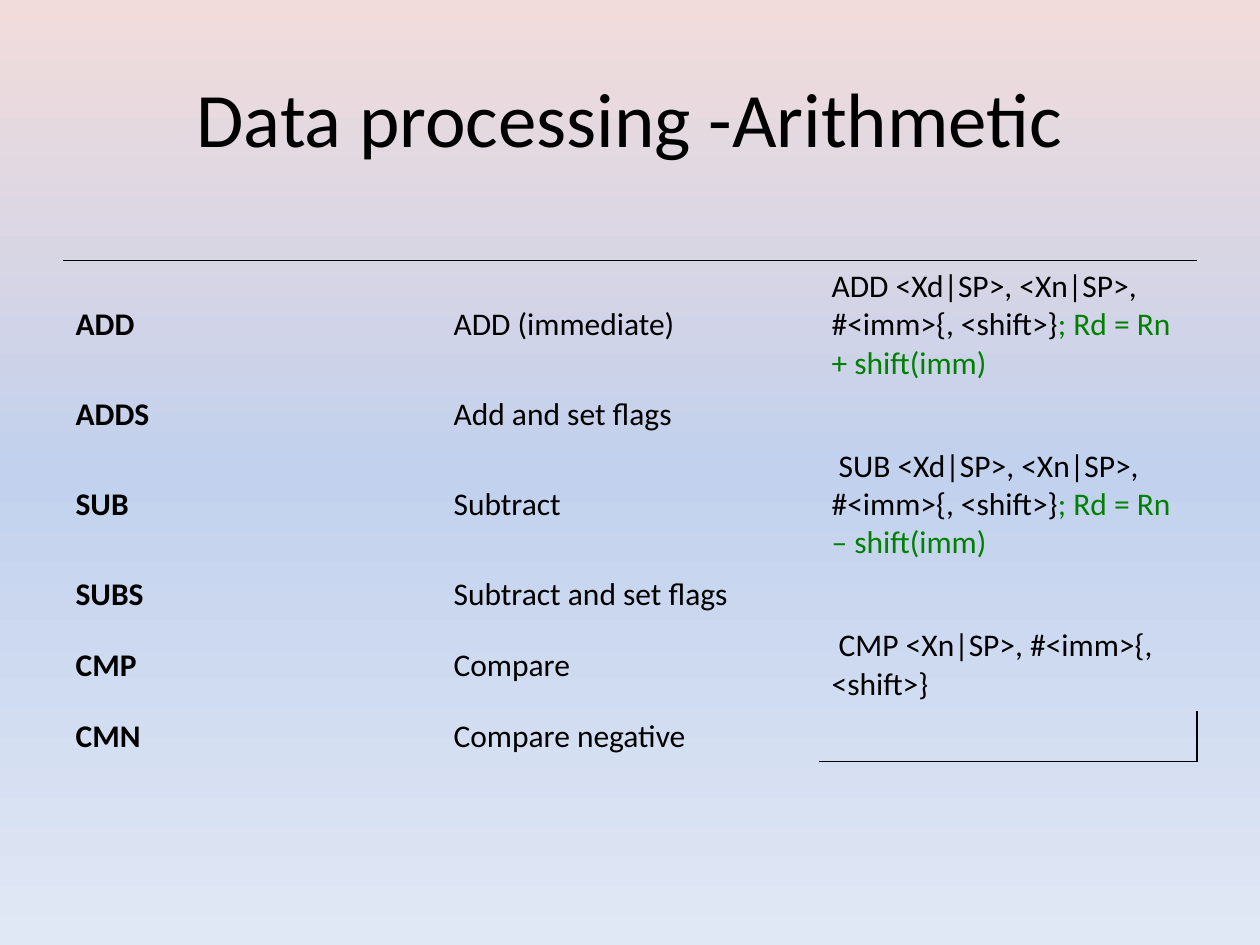
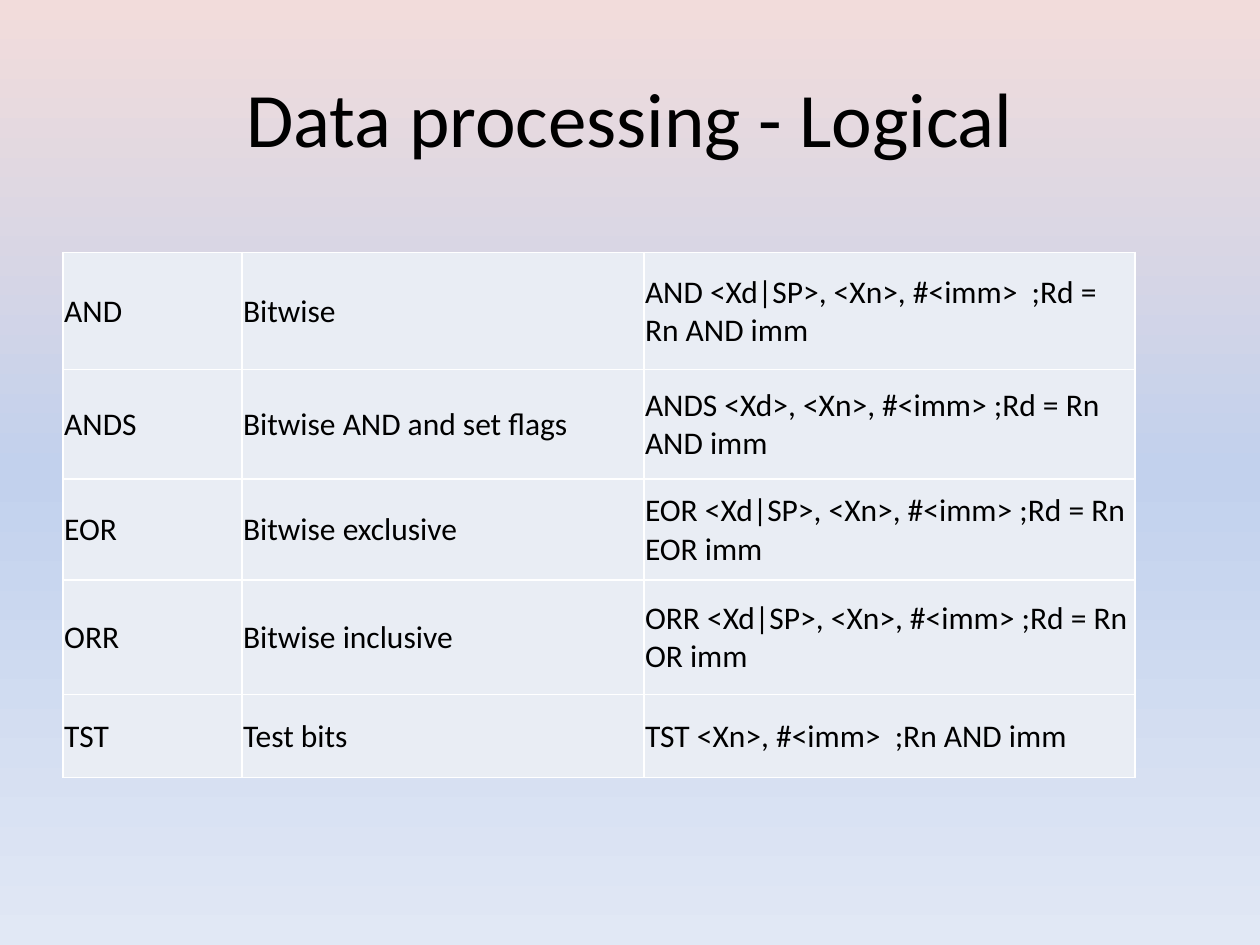
from copy import deepcopy
from dataclasses import dataclass

from lxml import etree
from pptx import Presentation
from pptx import util as u
from pptx.dml.color import RGBColor
from pptx.enum import text
from pptx.oxml.ns import qn

BLACK = RGBColor(0x00, 0x00, 0x00)
WHITE = RGBColor(0xFF, 0xFF, 0xFF)
GREEN = RGBColor(0x00, 0x80, 0x00)
CELL_FILL = RGBColor(0xE9, 0xED, 0xF4)
BACKDROP = (RGBColor(0xF2, 0xDC, 0xDB), RGBColor(0xC2, 0xD1, 0xED),
            RGBColor(0xE1, 0xE8, 0xF5))
FONT = "Calibri"
NO_STYLE = "{2D5ABB26-0587-4C30-8999-92F81FD0307C}"
NBSP = "\u00a0"

SLIDE_W, SLIDE_H = u.Inches(10), u.Inches(7.5)


@dataclass
class Box:
    """A frame given in shares of the slide's width and height."""
    left: float
    top: float
    width: float
    height: float

    def emu(self) -> tuple[int, int, int, int]:
        """Return left, top, width and height in EMU."""
        return (int(self.left * SLIDE_W), int(self.top * SLIDE_H),
                int(self.width * SLIDE_W), int(self.height * SLIDE_H))


@dataclass
class Grid:
    """An instruction table; columns and rows are relative weights."""
    box: Box
    columns: tuple[float, ...]
    rows: tuple[float, ...]
    cells: list[tuple[str, str, str, str]]  # mnemonic, meaning, syntax, comment
    comment_color: RGBColor = BLACK
    bold_mnemonic: bool = False
    fill: RGBColor | None = None
    margins: tuple[float, float, float, float] = (0.1, 0.1, 0.05, 0.05)


TITLE_BOX = Box(0.05, 0.04, 0.9, 1 / 6)

ARITHMETIC = Grid(
    box=Box(0.05, 0.276, 0.9, 0.528),
    columns=(1, 1, 1),
    rows=(1.02, 0.4, 1.02, 0.4, 0.72, 0.4),
    cells=[
        ("ADD", "ADD (immediate)", "ADD <Xd|SP>, <Xn|SP>, #<imm>{, <shift>}",
         "; Rd = Rn + shift(imm)"),
        ("ADDS", "Add and set flags", "", ""),
        ("SUB", "Subtract", f"{NBSP}SUB <Xd|SP>, <Xn|SP>, #<imm>{{, <shift>}}",
         f";{NBSP}Rd = Rn \u2013 shift(imm)"),
        ("SUBS", "Subtract and set flags", "", ""),
        ("CMP", "Compare", f"{NBSP}CMP <Xn|SP>, #<imm>{{, <shift>}}", ""),
        ("CMN", "Compare negative", "", ""),
    ],
    comment_color=GREEN,
    bold_mnemonic=True,
)

LOGICAL = Grid(
    box=Box(0.05, 0.267, 0.851, 0.556),
    columns=(1.42, 3.19, 3.9),
    rows=(0.93, 0.87, 0.8, 0.91, 0.66),
    cells=[
        ("AND", "Bitwise",
         f"AND <Xd|SP>, <Xn>, #<imm>{NBSP * 2};Rd = Rn AND imm", ""),
        ("ANDS", "Bitwise AND and set flags",
         f"ANDS <Xd>, <Xn>, #<imm>{NBSP};Rd = Rn AND imm", ""),
        ("EOR", "Bitwise exclusive",
         f"EOR <Xd|SP>, <Xn>, #<imm>{NBSP};Rd = Rn EOR imm", ""),
        ("ORR", "Bitwise inclusive",
         f"ORR <Xd|SP>, <Xn>, #<imm>{NBSP};Rd = Rn OR imm", ""),
        ("TST", "Test bits", f"TST <Xn>, #<imm>{NBSP * 2};Rn AND imm", ""),
    ],
    fill=CELL_FILL,
    margins=(0.01, 0.01, 0.01, 0),
)


def paint_backdrop(master) -> None:
    """Give the master a three-stop gradient that runs downwards."""
    fill = master.background.fill
    fill.gradient()
    fill.gradient_angle = 270
    stop_list = master.element.find(".//" + qn("a:gsLst"))
    stop_list.append(deepcopy(stop_list[-1]))
    for stop, color, position in zip(fill.gradient_stops, BACKDROP, (0, 0.5, 1)):
        stop.color.rgb = color
        stop.position = position


def add_run(p, words: str, size: float, color: RGBColor = BLACK,
            bold: bool = False) -> None:
    """Append one formatted run to a paragraph."""
    r = p.add_run()
    r.text = words
    r.font.name, r.font.size, r.font.bold = FONT, u.Pt(size), bold
    r.font.color.rgb = color


def add_titled_slide(prs, title: str):
    """Add a slide whose title placeholder holds the given words."""
    s = prs.slides.add_slide(prs.slide_layouts.get_by_name("Title Only"))
    sp = s.shapes.title
    sp.left, sp.top, sp.width, sp.height = TITLE_BOX.emu()
    tf = sp.text_frame
    tf.vertical_anchor = text.MSO_ANCHOR.MIDDLE
    p = tf.paragraphs[0]
    p.alignment = text.PP_ALIGN.CENTER
    add_run(p, title, 44)
    return s


def add_borders(cell, sides: str, color: RGBColor, points: float = 1) -> None:
    """Draw the named cell sides, listed in the order L, R, T, B."""
    properties = cell._tc.get_or_add_tcPr()
    for position, side in enumerate(sides):
        line = etree.Element(qn(f"a:ln{side}"), w=str(u.Pt(points)))
        solid = etree.SubElement(line, qn("a:solidFill"))
        etree.SubElement(solid, qn("a:srgbClr"), val=str(color))
        properties.insert(position, line)


def fill_cell(cell, grid: Grid, runs: list[tuple[str, RGBColor, bool]]) -> None:
    """Set a cell's fill, margins and runs."""
    if grid.fill is None:
        cell.fill.background()
    else:
        cell.fill.solid()
        cell.fill.fore_color.rgb = grid.fill
    cell.vertical_anchor = text.MSO_ANCHOR.MIDDLE
    (cell.margin_left, cell.margin_right, cell.margin_top,
     cell.margin_bottom) = map(u.Inches, grid.margins)
    for words, color, bold in runs:
        if words:
            add_run(cell.text_frame.paragraphs[0], words, 18, color, bold)


def add_grid(s, grid: Grid):
    """Add an instruction table and return it."""
    left, top, width, height = grid.box.emu()
    frame = s.shapes.add_table(len(grid.rows), len(grid.columns),
                               left, top, width, height)
    table = frame.table
    table.first_row = table.horz_banding = False
    frame._element.find(".//" + qn("a:tableStyleId")).text = NO_STYLE
    for column, weight in zip(table.columns, grid.columns):
        column.width = int(width * weight / sum(grid.columns))
    for row, weight in zip(table.rows, grid.rows):
        row.height = int(height * weight / sum(grid.rows))
    for row, (mnemonic, meaning, syntax, comment) in zip(table.rows, grid.cells):
        contents = (
            [(mnemonic, BLACK, grid.bold_mnemonic)],
            [(meaning, BLACK, False)],
            [(syntax, BLACK, False), (comment, grid.comment_color, False)],
        )
        for cell, runs in zip(row.cells, contents):
            fill_cell(cell, grid, runs)
    return table


def build_arithmetic(prs) -> None:
    """Arithmetic instructions, ruled above and around the last corner."""
    s = add_titled_slide(prs, "Data processing -Arithmetic")
    table = add_grid(s, ARITHMETIC)
    for cell in table.rows[0].cells:
        add_borders(cell, "T", BLACK, 0.75)
    last = table.cell(len(ARITHMETIC.rows) - 1, len(ARITHMETIC.columns) - 1)
    add_borders(last, "RB", BLACK)


def build_logical(prs) -> None:
    """Logical instructions in a fully ruled table."""
    s = add_titled_slide(prs, "Data processing - Logical")
    for cell in add_grid(s, LOGICAL).iter_cells():
        add_borders(cell, "LRTB", WHITE)


def main() -> None:
    """Build and save the presentation."""
    prs = Presentation()
    prs.slide_width, prs.slide_height = SLIDE_W, SLIDE_H
    paint_backdrop(prs.slide_master)
    build_arithmetic(prs)
    build_logical(prs)
    prs.save("out.pptx")


main()
